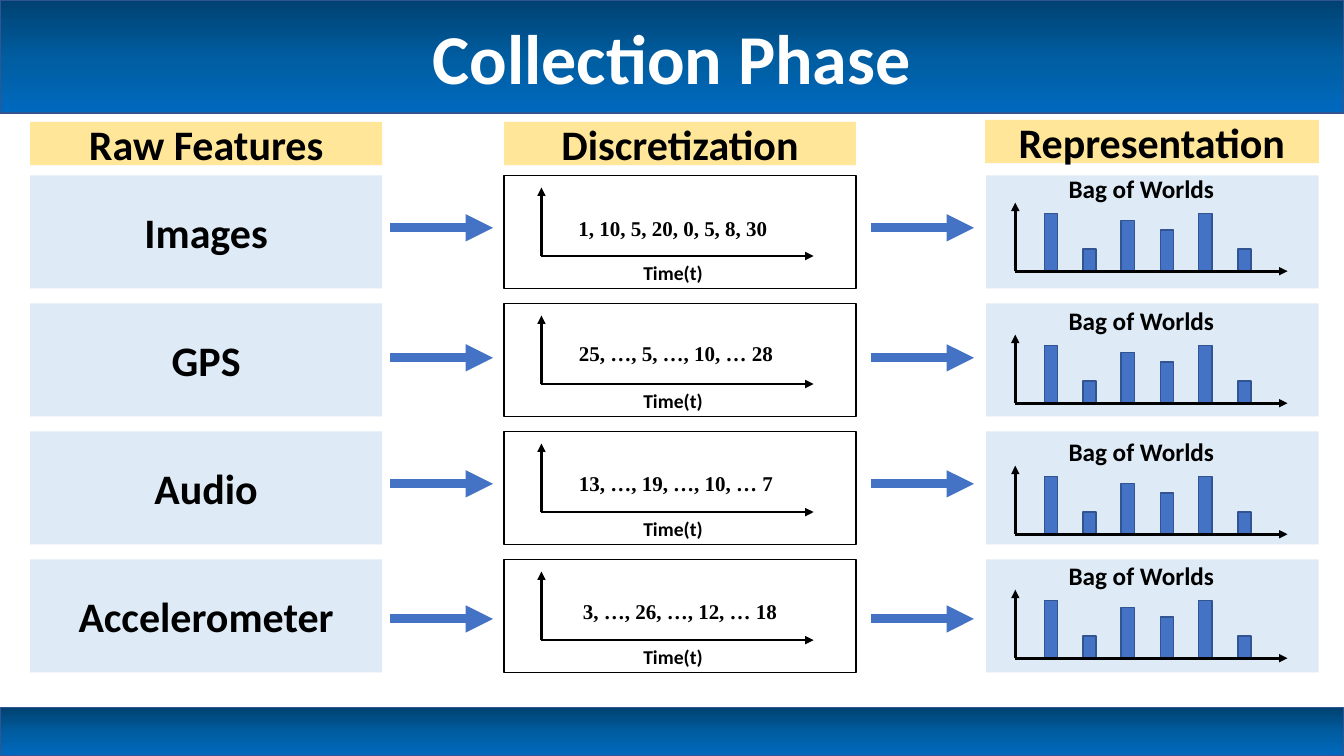
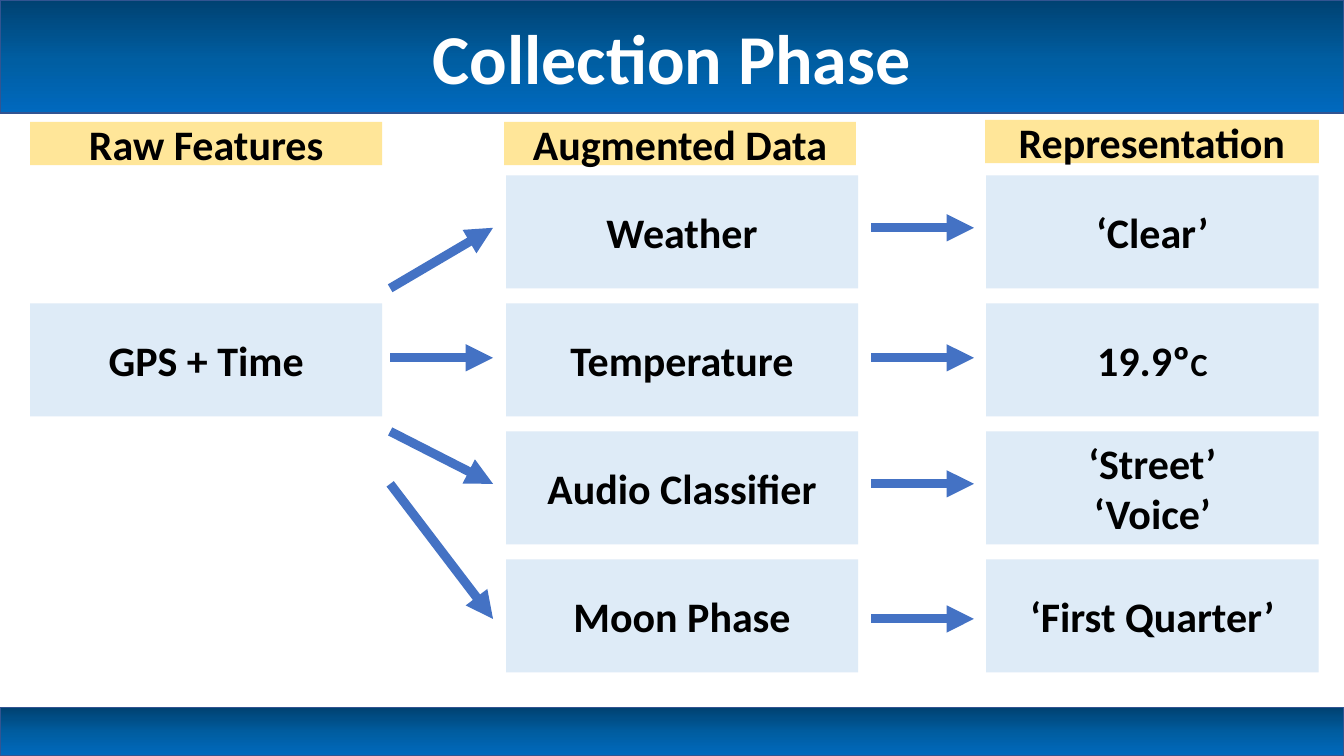
import copy

import lxml.etree
import pptx
import pptx.dml.color
import pptx.enum.shapes
import pptx.enum.text
import pptx.oxml.ns
import pptx.util

PIXEL = 9144  # EMU, 100 px to the inch
SLIDE_WIDTH, SLIDE_HEIGHT = 1333, 750
COLORS = {
    "band_top": "004272", "band_middle": "005EA2", "band_bottom": "0069BE",
    "outline": "325491", "accent": "4472C4", "header": "FFE699",
    "cell": "DEEBF7", "white": "FFFFFF", "black": "000000",
}
BAND_STOPS = [(0, "band_top"), (0.54, "band_middle"), (1, "band_bottom")]
ALIGN = pptx.enum.text.PP_ALIGN
ANCHOR = pptx.enum.text.MSO_ANCHOR

# Grid shared by both slides
RAW_LEFT, MIDDLE_LEFT, RESULT_LEFT = 30, 500, 978
COLUMN_WIDTH, RESULT_WIDTH = 349, 330
ROW_TOPS = [174 + 127 * row for row in range(4)]
ROW_HEIGHT = 112
ARROW_YS = [226, 355, 480, 614]
FIRST_ARROW, SECOND_ARROW, ARROW_LENGTH = 387, 864, 102


def px(length):
    return pptx.util.Emu(length * PIXEL)


def rgb(name):
    return pptx.dml.color.RGBColor.from_string(COLORS[name])


class Deck:
    """Holds the style, the presentation and the current slide."""

    def __init__(self):
        self.presentation = pptx.Presentation()
        self.presentation.slide_width = px(SLIDE_WIDTH)
        self.presentation.slide_height = px(SLIDE_HEIGHT)
        self.slide = None

    def new_slide(self, title, headers):
        layout = self.presentation.slide_layouts[5]
        self.slide = self.presentation.slides.add_slide(layout)
        self.band(702, 48)
        self.band(0, 112)
        self.title(title)
        places = [(RAW_LEFT, 121, COLUMN_WIDTH), (MIDDLE_LEFT, 121, COLUMN_WIDTH),
                  (RESULT_LEFT - 1, 119, RESULT_WIDTH + 1)]
        for header, (left, top, width) in zip(headers, places):
            self.box(left, top, width, 43, "header", text=header)

    def title(self, text):
        title = self.slide.shapes.title
        title.left, title.top, title.width, title.height = map(px, (204, 9, 925, 94))
        # Bring the title in front of the bands
        self.slide.shapes._spTree.append(title._element)
        self.fill_text(title.text_frame, text, 50, color="white", anchor=ANCHOR.TOP)

    def add_run(self, paragraph, text, size, color="black", font="Calibri"):
        run = paragraph.add_run()
        run.text = text
        run.font.size = pptx.util.Pt(size)
        run.font.name = font
        run.font.bold = True
        run.font.color.rgb = rgb(color)

    def fill_text(self, frame, text, size, color="black", font="Calibri",
                  align=ALIGN.CENTER, anchor=ANCHOR.MIDDLE):
        frame.word_wrap = True
        frame.auto_size = pptx.enum.text.MSO_AUTO_SIZE.NONE
        frame.vertical_anchor = anchor
        for number, line in enumerate(text.split("\n")):
            paragraph = frame.add_paragraph() if number else frame.paragraphs[0]
            paragraph.alignment = align
            self.add_run(paragraph, line, size, color, font)

    def box(self, left, top, width, height, fill=None, line=None, text=None):
        shape = self.slide.shapes.add_shape(
            pptx.enum.shapes.MSO_SHAPE.RECTANGLE, *map(px, (left, top, width, height)))
        shape.shadow.inherit = False
        if fill:
            shape.fill.solid()
            shape.fill.fore_color.rgb = rgb(fill)
        if line:
            shape.line.color.rgb = rgb(line)
            shape.line.width = pptx.util.Pt(1)
        else:
            shape.line.fill.background()
        if text:
            self.fill_text(shape.text_frame, text, 30)
        return shape

    def band(self, top, height):
        band = self.box(0, top, SLIDE_WIDTH, height, line="outline")
        band.fill.gradient()
        band.fill.gradient_angle = 270
        stop_list = next(band._element.iter(pptx.oxml.ns.qn("a:gsLst")))
        stop_list.append(copy.deepcopy(stop_list[0]))
        for stop, (position, color) in zip(band.fill.gradient_stops, BAND_STOPS):
            stop.position = position
            stop.color.rgb = rgb(color)

    def label(self, left, top, width, height, text, size, **style):
        shape = self.slide.shapes.add_textbox(*map(px, (left, top, width, height)))
        self.fill_text(shape.text_frame, text, size, anchor=ANCHOR.TOP, **style)

    def arrow(self, start, end, color="accent", width=6.5):
        connector = self.slide.shapes.add_connector(
            pptx.enum.shapes.MSO_CONNECTOR.STRAIGHT, *map(px, (*start, *end)))
        connector.line.color.rgb = rgb(color)
        connector.line.width = pptx.util.Pt(width)
        qn = pptx.oxml.ns.qn
        properties = connector._element.spPr
        head = lxml.etree.SubElement(properties.find(qn("a:ln")), qn("a:tailEnd"))
        head.set("type", "triangle")
        lxml.etree.SubElement(properties, qn("a:effectLst"))

    def row_arrows(self, left, start_ys=ARROW_YS):
        for start_y, end_y in zip(start_ys, ARROW_YS):
            self.arrow((left, start_y), (left + ARROW_LENGTH, end_y))

    def axes(self, left, bottom):
        for end in [(left, bottom - 68), (left + 270, bottom)]:
            self.arrow((left, bottom), end, "black", 2)

    def time_plot(self, top, values, values_left, values_top):
        self.box(MIDDLE_LEFT, top, COLUMN_WIDTH, ROW_HEIGHT, "white", "black")
        self.axes(MIDDLE_LEFT + 37, top + 80)
        self.label(MIDDLE_LEFT + 124, top + 80, 87, 34, "Time(t)", 14)
        self.label(values_left, values_top, 235, 35, values, 15, font="Times New Roman")

    def bag_plot(self, top, baseline):
        self.box(RESULT_LEFT, top, RESULT_WIDTH, ROW_HEIGHT, "cell")
        self.label(1050, baseline - 102, 184, 40, "Bag of Worlds", 18, align=ALIGN.LEFT)
        for number, height in enumerate([57, 22, 50, 41, 57, 22]):
            left = 1036 + number * 192 // 5
            self.box(left, baseline - height, 13, height, "accent", "outline")
        self.axes(1007, baseline)


def discretization_slide(deck):
    deck.new_slide("Collection Phase", ["Raw Features", "Discretization", "Representation"])
    deck.row_arrows(FIRST_ARROW)
    deck.row_arrows(SECOND_ARROW)
    # feature, values, left and top of the values, baseline of the bars
    rows = [
        ("Images", "1, 10, 5, 20, 0, 5, 8, 30", 550, 209, 269),
        ("GPS", "25, …, 5, …, 10, … 28", 553, 333, 400),
        ("Audio", "13, …, 19, …, 10, … 7", 553, 462, 530),
        ("Accelerometer", "3, …, 26, …, 12, … 18", 557, 589, 653),
    ]
    for top, (feature, values, values_left, values_top, baseline) in zip(ROW_TOPS, rows):
        deck.box(RAW_LEFT, top, COLUMN_WIDTH, ROW_HEIGHT, "cell", text=feature)
        deck.time_plot(top, values, values_left, values_top)
        deck.bag_plot(top, baseline)


def augmentation_slide(deck):
    deck.new_slide("Collection Phase", ["Raw Features", "Augmented Data", "Representation"])
    deck.row_arrows(FIRST_ARROW, [286, 355, 428, 480])
    deck.row_arrows(SECOND_ARROW)
    deck.box(RAW_LEFT, ROW_TOPS[1], COLUMN_WIDTH, ROW_HEIGHT, "cell", text="GPS + Time")
    rows = [
        ("Weather", "‘Clear’"),
        ("Temperature", "19.9º"),
        ("Audio Classifier", "‘Street’\n‘Voice’"),
        ("Moon Phase", "‘First Quarter’"),
    ]
    results = []
    for top, (source, result) in zip(ROW_TOPS, rows):
        deck.box(MIDDLE_LEFT + 2, top, COLUMN_WIDTH, ROW_HEIGHT, "cell", text=source)
        results.append(
            deck.box(RESULT_LEFT, top, RESULT_WIDTH, ROW_HEIGHT, "cell", text=result))
    # Smaller unit after the temperature
    deck.add_run(results[1].text_frame.paragraphs[0], "C", 23)


def main():
    deck = Deck()
    discretization_slide(deck)
    augmentation_slide(deck)
    deck.presentation.save("out.pptx")


if __name__ == "__main__":
    main()
